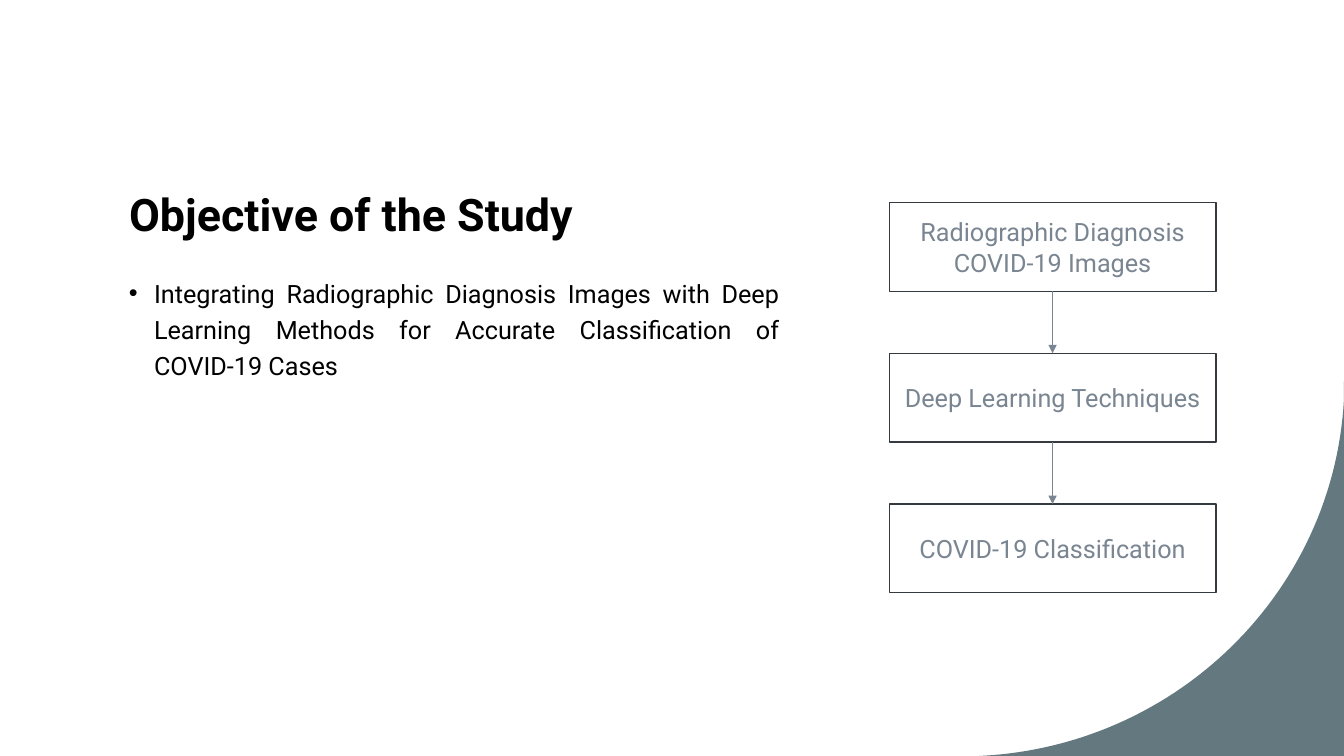
"""Builds the study objective slide with a three-step flow."""
from dataclasses import dataclass

from lxml import etree
from pptx import Presentation
from pptx.dml.color import RGBColor
from pptx.enum.shapes import MSO_CONNECTOR, MSO_SHAPE
from pptx.enum.text import MSO_ANCHOR, PP_ALIGN
from pptx.oxml.ns import qn
from pptx.util import Inches, Pt

RECT = MSO_SHAPE.RECTANGLE
STRAIGHT = MSO_CONNECTOR.STRAIGHT
TOP, MIDDLE, BOTTOM = MSO_ANCHOR.TOP, MSO_ANCHOR.MIDDLE, MSO_ANCHOR.BOTTOM
LEFT, CENTER, JUSTIFY = PP_ALIGN.LEFT, PP_ALIGN.CENTER, PP_ALIGN.JUSTIFY

TITLE = "Objective of the Study"
OBJECTIVE = ("Integrating Radiographic Diagnosis Images with Deep Learning "
             "Methods for Accurate Classification of COVID-19 Cases")
STEPS = ["Radiographic Diagnosis COVID-19 Images",
         "Deep Learning Techniques",
         "COVID-19 Classification"]

SLIDE_W, SLIDE_H = 13.33, 7.5
TITLE_BOX = (1.18, 0.79, 10.88, 1.65)
OBJECTIVE_BOX = (1.18, 2.65, 6.65, 3.84)
STEP_X, STEP_Y, STEP_W, STEP_H, STEP_PITCH = 8.82, 2.01, 3.24, 0.88, 1.495
CORNER_TOP, CORNER_LEFT = 3.78, 9.63
CORNER_CURVE = [(9.71, 7.5), (11.67, 7.41), (13.23, 5.87), (13.33, 3.96)]
CURVE_STEPS = 60


@dataclass(frozen=True)
class Theme:
    """Colours, font and type sizes."""
    font: str = "Roboto"
    ink: str = "000000"
    paper: str = "FFFFFF"
    corner: str = "63787F"
    border: str = "353A40"
    muted: str = "7A8592"
    title_size: int = 32
    text_size: int = 18


THEME = Theme()


def rgb(color):
    """Turn a hex string into a colour."""
    return RGBColor.from_string(color)


def inches(*values):
    """Turn numbers into lengths."""
    return [Inches(v) for v in values]


def write(sp, text, *, size=THEME.text_size, color=THEME.ink, bold=False,
          align=LEFT, anchor=TOP, spacing=1.0, bullet=None):
    """Put one formatted paragraph into a shape."""
    tf = sp.text_frame
    tf.word_wrap = True
    tf.vertical_anchor = anchor
    p = tf.paragraphs[0]
    p.alignment = align
    p.line_spacing = spacing
    p.space_before = Pt(0)
    if bullet:
        pPr = p._p.get_or_add_pPr()
        pPr.set("marL", str(Inches(0.25)))
        pPr.set("indent", str(Inches(-0.25)))
        etree.SubElement(pPr, qn("a:buFont"), typeface="Arial")
        etree.SubElement(pPr, qn("a:buChar"), char=bullet)
    r = p.add_run()
    r.text = text
    r.font.name, r.font.size, r.font.bold = THEME.font, Pt(size), bold
    r.font.color.rgb = rgb(color)


def bezier(points, t):
    """Return the point at t on a cubic curve."""
    weights = ((1 - t) ** 3, 3 * t * (1 - t) ** 2, 3 * t ** 2 * (1 - t), t ** 3)
    return [Inches(sum(w * pt[axis] for w, pt in zip(weights, points)))
            for axis in (0, 1)]


def add_corner(s):
    """Draw the curved corner."""
    curve = [bezier(CORNER_CURVE, i / CURVE_STEPS) for i in range(CURVE_STEPS + 1)]
    builder = s.shapes.build_freeform(*inches(SLIDE_W, CORNER_TOP))
    builder.add_line_segments(
        [inches(SLIDE_W, SLIDE_H), inches(CORNER_LEFT, SLIDE_H), *curve])
    sp = builder.convert_to_shape()
    sp.shadow.inherit = False
    sp.fill.solid()
    sp.fill.fore_color.rgb = rgb(THEME.corner)
    sp.line.fill.background()


def add_step(s, index, text):
    """Draw one box of the flow."""
    sp = s.shapes.add_shape(
        RECT, *inches(STEP_X, STEP_Y + index * STEP_PITCH, STEP_W, STEP_H))
    sp.shadow.inherit = False
    sp.fill.solid()
    sp.fill.fore_color.rgb = rgb(THEME.paper)
    sp.line.color.rgb = rgb(THEME.border)
    sp.line.width = Pt(1)
    write(sp, text, color=THEME.muted, align=CENTER, anchor=MIDDLE)
    return sp


def add_arrow(s, upper, lower):
    """Join two boxes with an arrow."""
    line = s.shapes.add_connector(STRAIGHT, 0, 0, 0, 0)
    line.begin_connect(upper, 2)
    line.end_connect(lower, 0)
    line.line.color.rgb = rgb(THEME.muted)
    line.line.width = Pt(0.5)
    etree.SubElement(line.line._get_or_add_ln(), qn("a:tailEnd"), type="triangle")
    etree.SubElement(line._element.spPr, qn("a:effectLst"))


def main():
    """Build and save the slide."""
    prs = Presentation()
    prs.slide_width, prs.slide_height = inches(SLIDE_W, SLIDE_H)
    s = prs.slides.add_slide(prs.slide_layouts[5])
    add_corner(s)
    title = s.shapes.title
    title.left, title.top, title.width, title.height = inches(*TITLE_BOX)
    write(title, TITLE, size=THEME.title_size, bold=True, anchor=BOTTOM, spacing=1.1)
    body = s.shapes.add_textbox(*inches(*OBJECTIVE_BOX))
    write(body, OBJECTIVE, align=JUSTIFY, spacing=1.2, bullet="•")
    boxes = [add_step(s, i, text) for i, text in enumerate(STEPS)]
    for upper, lower in zip(boxes, boxes[1:]):
        add_arrow(s, upper, lower)
    prs.save("out.pptx")


if __name__ == "__main__":
    main()
